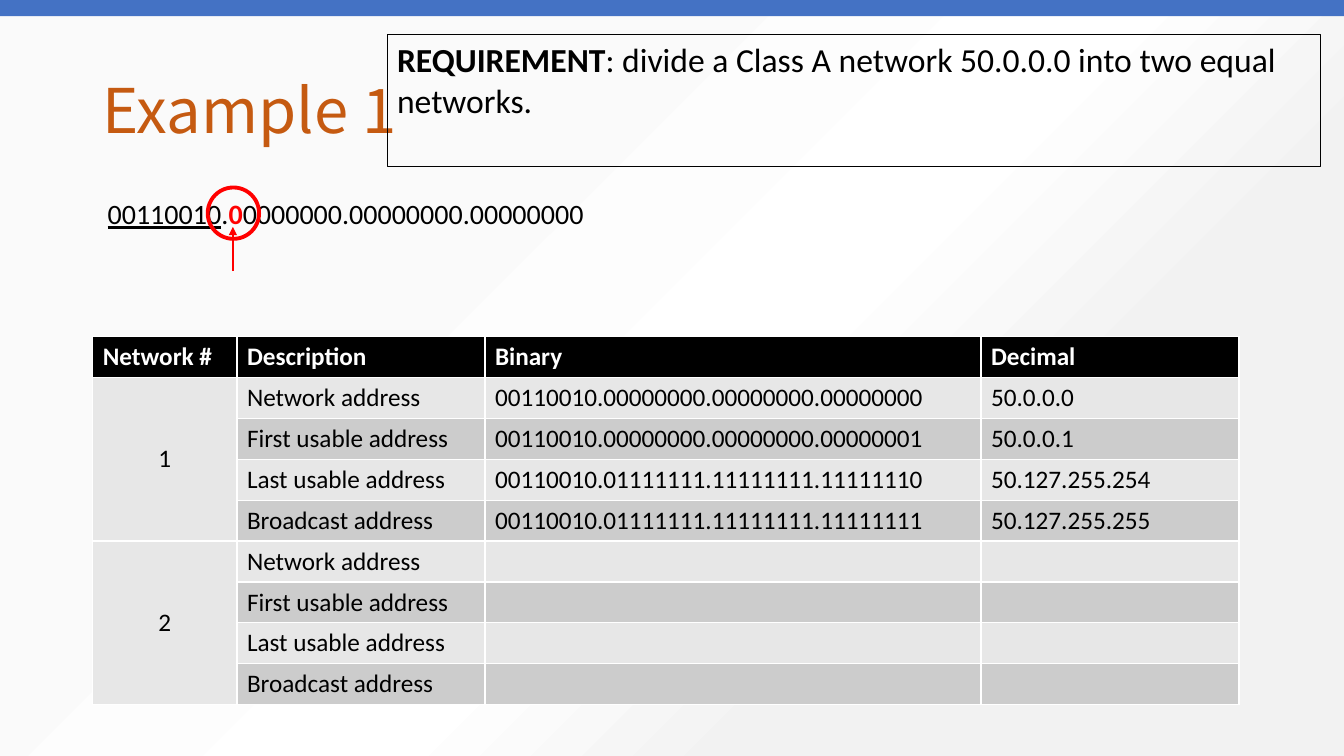
from dataclasses import dataclass
from typing import Optional

from lxml import etree
from pptx import Presentation
from pptx.dml.color import RGBColor
from pptx.enum.shapes import MSO_CONNECTOR, MSO_SHAPE
from pptx.enum.text import MSO_ANCHOR as ANCHOR, PP_ALIGN as ALIGN
from pptx.oxml import parse_xml
from pptx.oxml.ns import nsdecls, qn
from pptx.util import Inches, Pt

COLORS = {
    "black": "000000", "white": "FFFFFF", "red": "FF0000", "title": "C55A11",
    "bar": "4472C4", "light": "E7E7E7", "dark": "CCCCCC",
}
BODY_FONT = "Calibri"
TITLE_FONT = "Noto Sans CJK SC"
# position, colour, opacity
BACKGROUND_STOPS = [(29, "FAFAFA", 100), (54, "FFFFFF", 9), (71, "F2F2F2", 100), (87, "F2F2F2", 100)]

COLUMN_WIDTHS = [1.43, 2.46, 4.92, 2.56]
HEADERS = ["Network #", "Description", "Binary", "Decimal"]
DESCRIPTIONS = ["Network address", "First usable address", "Last usable address", "Broadcast address"]


@dataclass
class Network:
    number: str
    addresses: list[tuple[str, str]]


@dataclass
class Outline:
    kind: MSO_SHAPE
    box: tuple[float, float, float, float]
    fill: Optional[str] = None
    line: Optional[str] = None
    width: float = 0


NETWORKS = [
    Network("1", [
        ("00110010.00000000.00000000.00000000", "50.0.0.0"),
        ("00110010.00000000.00000000.00000001", "50.0.0.1"),
        ("00110010.01111111.11111111.11111110", "50.127.255.254"),
        ("00110010.01111111.11111111.11111111", "50.127.255.255"),
    ]),
    Network("2", [("", "")] * len(DESCRIPTIONS)),
]
TOP_BAR = Outline(MSO_SHAPE.RECTANGLE, (0, 0, 13.33, 0.16), fill="bar")
REQUIREMENT_BOX = Outline(MSO_SHAPE.RECTANGLE, (3.84, 0.34, 9.26, 1.31), line="black", width=0.75)
BIT_CIRCLE = Outline(MSO_SHAPE.OVAL, (2.06, 1.86, 0.51, 0.51), line="red", width=2.75)


def rgb(name: str) -> RGBColor:
    return RGBColor.from_string(COLORS[name])


def add_text(p, text: str, *, size: float = 18, color: str = "black", font: str = BODY_FONT,
             bold: bool = False, underline: bool = False) -> None:
    r = p.add_run()
    r.text = text
    r.font.size, r.font.name = Pt(size), font
    r.font.bold, r.font.underline = bold, underline
    r.font.color.rgb = rgb(color)
    if font == TITLE_FONT:
        etree.SubElement(r.font._element, qn("a:ea")).set("typeface", font)


def add_outline(s, outline: Outline):
    sp = s.shapes.add_shape(outline.kind, *map(Inches, outline.box))
    sp.shadow.inherit = False
    if outline.fill:
        sp.fill.solid()
        sp.fill.fore_color.rgb = rgb(outline.fill)
    else:
        sp.fill.background()
    if outline.line:
        sp.line.color.rgb = rgb(outline.line)
        sp.line.width = Pt(outline.width)
    else:
        sp.line.fill.background()
    return sp


def add_textbox(s, box: tuple[float, float, float, float]):
    tf = s.shapes.add_textbox(*map(Inches, box)).text_frame
    tf.word_wrap = True
    return tf


def set_background(s) -> None:
    stops = "".join(
        f'<a:gs pos="{pos * 1000}"><a:srgbClr val="{color}">'
        f'<a:alpha val="{opacity * 1000}"/></a:srgbClr></a:gs>'
        for pos, color, opacity in BACKGROUND_STOPS)
    s._element.cSld.insert(0, parse_xml(
        f'<p:bg {nsdecls("p", "a")}><p:bgPr><a:gradFill><a:gsLst>{stops}</a:gsLst>'
        '<a:path path="circle"><a:fillToRect r="100000" b="100000"/></a:path>'
        '</a:gradFill><a:effectLst/></p:bgPr></p:bg>'))


def fill_cell(cell, text: str, fill: str, *, color: str = "black", bold: bool = False,
              align: ALIGN = ALIGN.LEFT) -> None:
    cell.vertical_anchor = ANCHOR.MIDDLE
    p = cell.text_frame.paragraphs[0]
    p.alignment = align
    if text:
        add_text(p, text, color=color, bold=bold)
    tc_pr = cell._tc.get_or_add_tcPr()
    for side in ("lnL", "lnR", "lnT", "lnB"):
        tc_pr.append(parse_xml(
            f'<a:{side} {nsdecls("a")} w="{Pt(1)}"><a:solidFill>'
            f'<a:srgbClr val="{COLORS["white"]}"/></a:solidFill></a:{side}>'))
    cell.fill.solid()
    cell.fill.fore_color.rgb = rgb(fill)


def add_network_table(s) -> None:
    group = len(DESCRIPTIONS)
    frame = s.shapes.add_table(1 + group * len(NETWORKS), len(HEADERS), Inches(0.92), Inches(3.34),
                               Inches(sum(COLUMN_WIDTHS)), Inches(3.65))
    table = frame.table
    for column, width in zip(table.columns, COLUMN_WIDTHS):
        column.width = Inches(width)
    for col, header in enumerate(HEADERS):
        fill_cell(table.cell(0, col), header, "black", color="white", bold=True)
    for n, network in enumerate(NETWORKS):
        top = 1 + n * group
        table.cell(top, 0).merge(table.cell(top + group - 1, 0))
        for i, (description, address) in enumerate(zip(DESCRIPTIONS, network.addresses)):
            number = network.number if i == 0 else ""
            fill_cell(table.cell(top + i, 0), number, "light", align=ALIGN.CENTER)
            for col, text in enumerate((description, *address), start=1):
                fill_cell(table.cell(top + i, col), text, "dark" if i % 2 else "light")


def add_bit_arrow(s) -> None:
    x = Inches(2.31)
    arrow = s.shapes.add_connector(MSO_CONNECTOR.STRAIGHT, x, Inches(2.69), x, Inches(2.25))
    arrow.line.color.rgb = rgb("red")
    arrow.line.width = Pt(1.25)
    etree.SubElement(arrow.line._get_or_add_ln(), qn("a:tailEnd")).set("type", "triangle")
    etree.SubElement(arrow._element.spPr, qn("a:effectLst"))


def main() -> None:
    prs = Presentation()
    prs.slide_width, prs.slide_height = Inches(13.33), Inches(7.5)
    s = prs.slides.add_slide(prs.slide_layouts[6])
    set_background(s)

    tf = add_textbox(s, (0.92, 0.4, 11.5, 1.45))
    tf.vertical_anchor = ANCHOR.MIDDLE
    tf.paragraphs[0].line_spacing = 0.9
    add_text(tf.paragraphs[0], "Example 1", size=44, color="title", font=TITLE_FONT)

    add_network_table(s)
    add_outline(s, TOP_BAR)

    tf = add_outline(s, REQUIREMENT_BOX).text_frame
    tf.word_wrap = True
    tf.vertical_anchor = ANCHOR.TOP
    p = tf.paragraphs[0]
    p.alignment = ALIGN.LEFT
    add_text(p, "REQUIREMENT", size=24, bold=True)
    add_text(p, ": divide a Class A network 50.0.0.0 into two equal networks.", size=24)

    p = add_textbox(s, (0.97, 1.9, 11.36, 1.11)).paragraphs[0]
    add_text(p, "00110010", size=20, underline=True)
    add_text(p, ".", size=20)
    add_text(p, "0", size=20, color="red", bold=True)
    add_text(p, "0000000.00000000.00000000", size=20)

    add_bit_arrow(s)
    add_outline(s, BIT_CIRCLE)
    prs.save("out.pptx")


if __name__ == "__main__":
    main()
